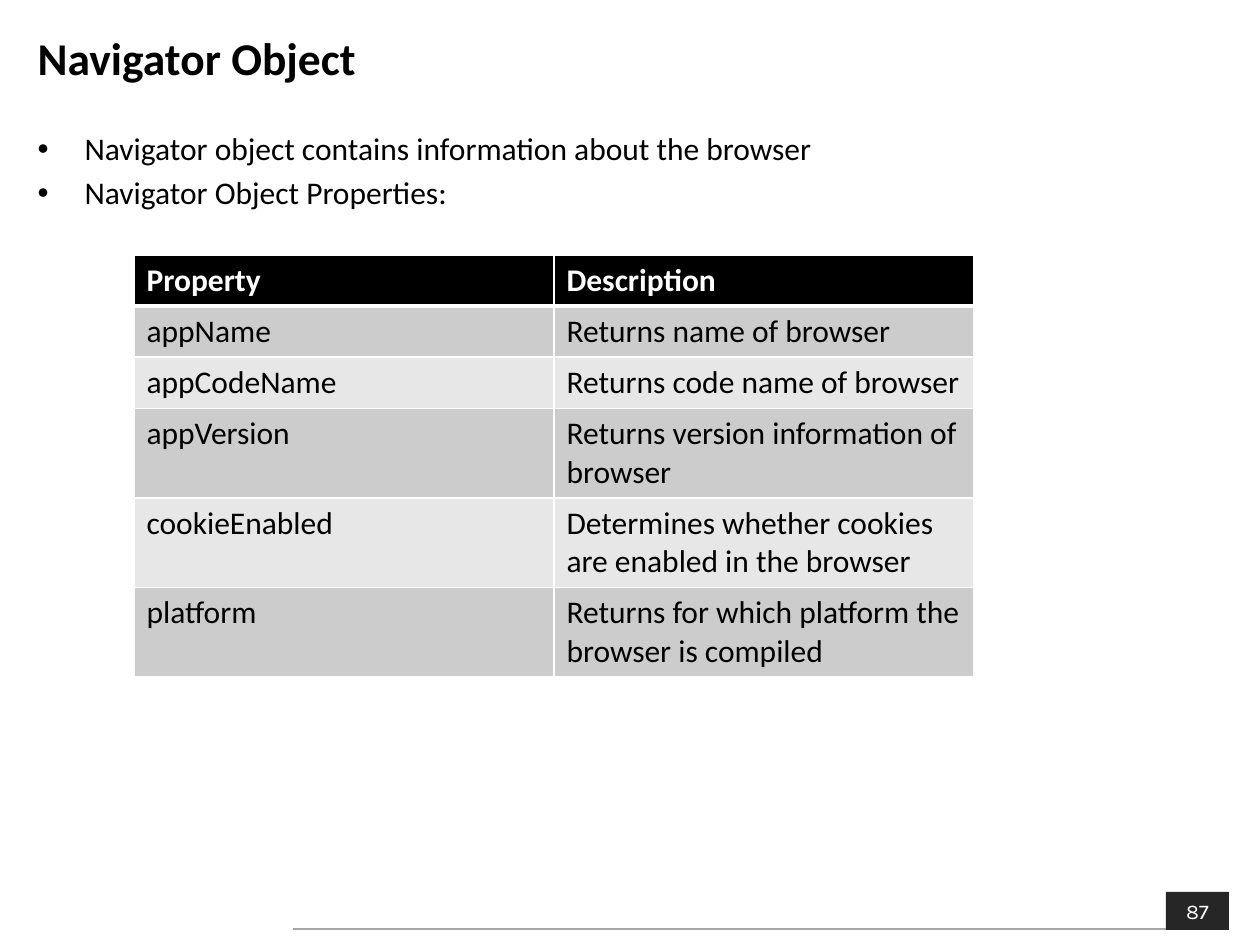
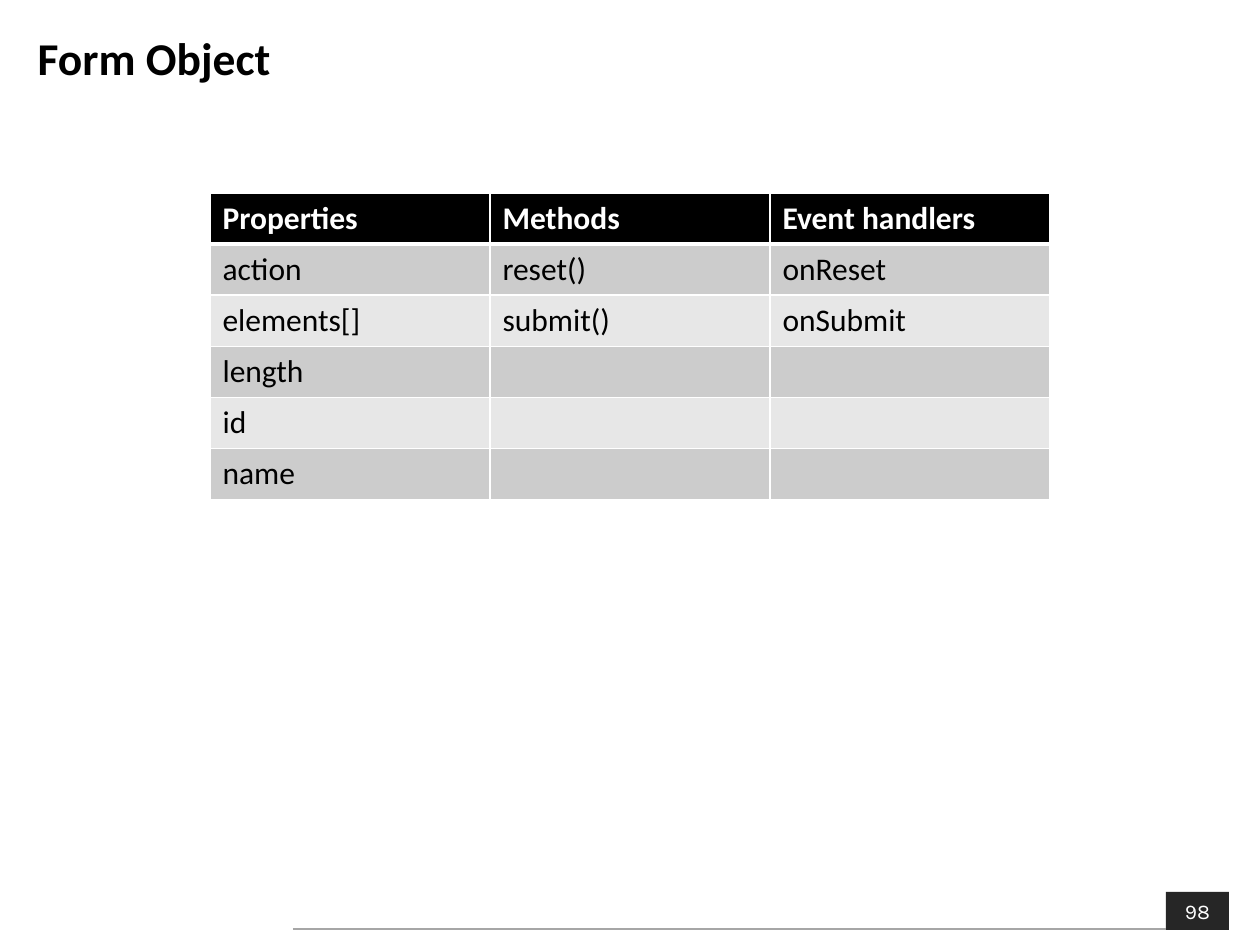
import pptx
import pptx.dml.color
import pptx.enum.shapes
import pptx.enum.text
import pptx.oxml
import pptx.oxml.ns
import pptx.util
from lxml import etree

RGB = pptx.dml.color.RGBColor
PP_ALIGN = pptx.enum.text.PP_ALIGN
ANCHOR = pptx.enum.text.MSO_ANCHOR
qn = pptx.oxml.ns.qn

BLACK = RGB(0x00, 0x00, 0x00)
WHITE = RGB(0xFF, 0xFF, 0xFF)
CHARCOAL = RGB(0x26, 0x26, 0x26)
RULE_GREY = RGB(0xA6, 0xA6, 0xA6)
BANDS = (RGB(0xCC, 0xCC, 0xCC), RGB(0xE7, 0xE7, 0xE7))

FONT = "Calibri"
NUMBER_FONT = "Karla"
EMU_PER_PX = 914400 // 126
TITLE_ONLY, TITLE_AND_BODY = 5, 1
MARGIN, TEXT_WIDTH = 25, 1216
TABLE_WIDTH, ROW_HEIGHT = 840, 51


def px(n):
    return pptx.util.Emu(n * EMU_PER_PX)


def place(sp, x, y, w, h):
    sp.left, sp.top, sp.width, sp.height = map(px, (x, y, w, h))


def format_runs(p, size, color, bold=False, font=FONT):
    for r in p.runs:
        r.font.name = font
        r.font.size = pptx.util.Pt(size)
        r.font.bold = bold
        r.font.color.rgb = color


def border(tc_pr, side, points):
    ln = etree.SubElement(tc_pr, qn(f"a:ln{side}"), w=str(pptx.util.Pt(points)))
    fill = etree.SubElement(ln, qn("a:solidFill"))
    etree.SubElement(fill, qn("a:srgbClr"), val=str(WHITE))


class Deck:
    def __init__(self):
        self.prs = pptx.Presentation()
        self.prs.slide_width = px(1260)
        self.prs.slide_height = px(945)
        self.slide = None

    def new_slide(self, layout, title, number):
        self.slide = self.prs.slides.add_slide(self.prs.slide_layouts[layout])
        self.footer(number)
        self.title(title)

    def footer(self, number):
        shapes = self.slide.shapes
        sp = shapes.add_shape(pptx.enum.shapes.MSO_SHAPE.RECTANGLE,
                              px(1166), px(892), px(63), px(38))
        sp.shadow.inherit = False
        sp.fill.solid()
        sp.fill.fore_color.rgb = CHARCOAL
        sp.line.fill.background()
        tf = sp.text_frame
        tf.text = str(number)
        p = tf.paragraphs[0]
        p.alignment = PP_ALIGN.CENTER
        format_runs(p, 12, WHITE, font=NUMBER_FONT)

        rule = shapes.add_connector(pptx.enum.shapes.MSO_CONNECTOR.STRAIGHT,
                                    px(293), px(929), px(1166), px(929))
        rule.line.color.rgb = RULE_GREY
        rule.line.width = pptx.util.Pt(0.75)
        etree.SubElement(rule.element.spPr, qn("a:effectLst"))

    def title(self, text):
        sp = self.slide.shapes.title
        place(sp, MARGIN, 19, TEXT_WIDTH, 77)
        tf = sp.text_frame
        tf.text = text
        tf.auto_size = pptx.enum.text.MSO_AUTO_SIZE.NONE
        tf.vertical_anchor = ANCHOR.MIDDLE
        p = tf.paragraphs[0]
        p.alignment = PP_ALIGN.LEFT
        format_runs(p, 26, BLACK, bold=True)

    def bullets(self, items):
        sp = self.slide.placeholders[1]
        place(sp, MARGIN, 123, TEXT_WIDTH, 726)
        tf = sp.text_frame
        tf.text = "\n".join(items)
        tf.auto_size = pptx.enum.text.MSO_AUTO_SIZE.NONE
        for p in tf.paragraphs:
            p_pr = p._p.get_or_add_pPr()
            p_pr.set("marL", str(px(47)))
            p_pr.set("indent", str(px(-47)))
            format_runs(p, 18, BLACK)

    def table(self, x, y, rows):
        """Draw rows, the first being the header; short rows end in empty cells."""
        n_cols = len(rows[0])
        frame = self.slide.shapes.add_table(
            len(rows), n_cols, px(x), px(y),
            px(TABLE_WIDTH), px(ROW_HEIGHT * len(rows)))
        table = frame.table
        table.horz_banding = False
        for i, row in enumerate(rows):
            for j in range(n_cols):
                self.cell(table.cell(i, j), row[j] if j < len(row) else "", i)

    def cell(self, cell, text, row):
        header = row == 0
        tc_pr = cell._tc.get_or_add_tcPr()
        widths = {"L": 1, "R": 1, "T": 3 if row == 1 else 1, "B": 3 if header else 1}
        for side, points in widths.items():
            border(tc_pr, side, points)
        cell.fill.solid()
        cell.fill.fore_color.rgb = BLACK if header else BANDS[(row - 1) % 2]
        if text:
            cell.text_frame.text = text
            format_runs(cell.text_frame.paragraphs[0], 18,
                        WHITE if header else BLACK, bold=header)


def main():
    deck = Deck()

    deck.new_slide(TITLE_AND_BODY, "Navigator Object", 87)
    deck.bullets(["Navigator object contains information about the browser",
                  "Navigator Object Properties:"])
    deck.table(134, 255, [
        ("Property", "Description"),
        ("appName", "Returns name of browser"),
        ("appCodeName", "Returns code name of browser"),
        ("appVersion", "Returns version information of browser"),
        ("cookieEnabled", "Determines whether cookies are enabled in the browser"),
        ("platform", "Returns for which platform the browser is compiled"),
    ])

    deck.new_slide(TITLE_ONLY, "Form Object", 98)
    deck.table(210, 193, [
        ("Properties", "Methods", "Event handlers"),
        ("action", "reset()", "onReset"),
        ("elements[]", "submit()", "onSubmit"),
        ("length",),
        ("id",),
        ("name",),
    ])

    deck.prs.save("out.pptx")


if __name__ == "__main__":
    main()
